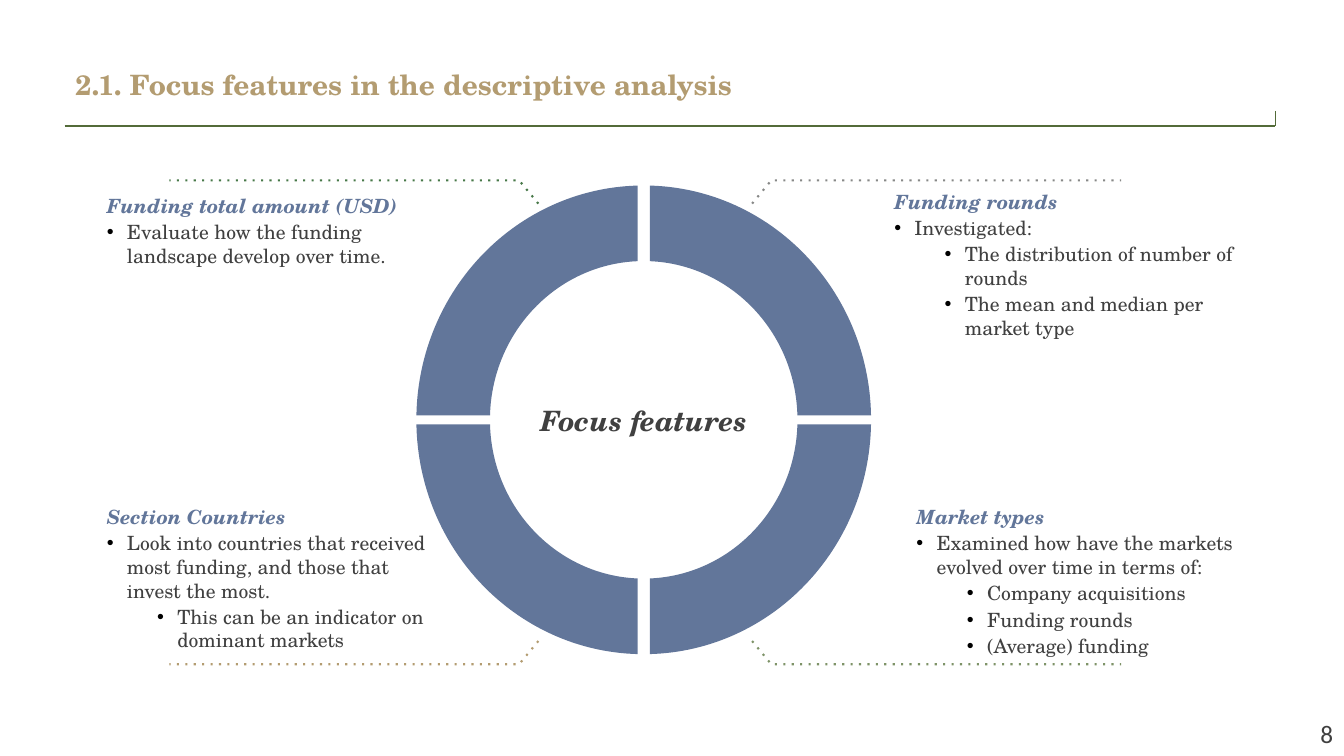
import math
from lxml import etree
from pptx import Presentation
from pptx import util as u
from pptx.dml.color import RGBColor
from pptx.enum import shapes, text
from pptx.oxml.ns import qn

COLORS = {
    "title": "B39C71", "rule": "536B39", "ring": "62769A", "body": "404040",
    "bullet": "000000", "number": "3F3F3F",
    "green": "477848", "gray": "878887", "sand": "B39C71", "olive": "7E9368",
}
SERIF = "TeX Gyre Schola"
RING_BOX = (4.13, 1.84, 4.51, 4.65)
LEADER_BOX = (1.68, 1.79, 9.44, 4.8)
CALLOUTS = [
    ((8.87, 1.88, 3.42, 1.29), (1, -1), "gray", "Funding rounds", [
        (0, "Investigated:"),
        (1, "The distribution of number of rounds"),
        (1, "The mean and median per market type")]),
    ((1.06, 1.92, 3.2, 1.55), (-1, -1), "green", "Funding total amount (USD)", [
        (0, "Evaluate how the funding landscape develop over time.")]),
    ((1.06, 5.01, 3.2, 1.29), (-1, 1), "sand", "Section Countries", [
        (0, "Look into countries that received most funding, and those that invest the most."),
        (1, "This can be an indicator on dominant markets")]),
    ((9.09, 5.01, 3.2, 1.29), (1, 1), "olive", "Market types", [
        (0, "Examined how have the markets evolved over time in terms of:"),
        (1, "Company acquisitions"),
        (1, "Funding rounds"),
        (1, "(Average) funding")]),
]


def color(name):
    return RGBColor.from_string(COLORS[name])


def add_frame(slide, box, margins=(0.1, 0.05)):
    frame = slide.shapes.add_textbox(*map(u.Inches, box)).text_frame
    frame.word_wrap = True
    frame.margin_left = frame.margin_right = u.Inches(margins[0])
    frame.margin_top = frame.margin_bottom = u.Inches(margins[1])
    return frame


def write(paragraph, words, size, tint, bold=False, italic=False, face=SERIF):
    paragraph.text = words
    font = paragraph.font
    font.name, font.size = face, u.Pt(size)
    font.bold, font.italic = bold, italic
    font.color.rgb = color(tint)


def add_bullet(paragraph, level):
    paragraph.level = level
    paragraph.space_before = u.Pt(2)
    properties = paragraph._p.get_or_add_pPr()
    properties.set("marL", str(u.Inches(0.2 + 0.5 * level)))
    properties.set("indent", str(u.Inches(-0.2)))
    tint = etree.SubElement(properties, qn("a:buClr"))
    etree.SubElement(tint, qn("a:srgbClr"), val=COLORS["bullet"])
    etree.SubElement(properties, qn("a:buFont"), typeface="Arial")
    etree.SubElement(properties, qn("a:buChar"), char="•")


def add_outline(parent, points, close):
    points = [(u.Inches(x), u.Inches(y)) for x, y in points]
    builder = parent.shapes.build_freeform(*points[0])
    builder.add_line_segments(points[1:], close=close)
    shape = builder.convert_to_shape()
    shape.shadow.inherit = False
    return shape


def add_header(slide, box):
    left, top, width, height = box
    right, bottom = left + width - 0.04, top + height + 0.01
    for start in ((left - 0.01, bottom), (right, bottom - 0.15)):
        rule = slide.shapes.add_connector(
            shapes.MSO_CONNECTOR.STRAIGHT, *map(u.Inches, (*start, right, bottom)))
        rule.line.color.rgb = color("rule")
        rule.line.width = u.Pt(1)
        etree.SubElement(rule._element.spPr, qn("a:effectLst"))
    frame = add_frame(slide, box)
    frame.vertical_anchor = text.MSO_ANCHOR.MIDDLE
    paragraph = frame.paragraphs[0]
    paragraph.line_spacing = 0.9
    write(paragraph, "2.1. Focus features in the descriptive analysis", 20, "title", bold=True)


def arc(center, radii, gaps, signs):
    first = math.asin(gaps[1] / radii[1])
    last = math.acos(gaps[0] / radii[0])
    reach = 4 / 3 * math.tan((last - first) / 4)
    points = []
    for angle, pull in ((first, 0), (first, reach), (last, -reach), (last, 0)):
        across = math.cos(angle) - pull * math.sin(angle)
        down = math.sin(angle) + pull * math.cos(angle)
        points.append((center[0] + signs[0] * radii[0] * across,
                       center[1] + signs[1] * radii[1] * down))
    return points


def bend(shape, segment, controls):
    curve = etree.Element(qn("a:cubicBezTo"))
    for x, y in controls:
        etree.SubElement(curve, qn("a:pt"), x=str(u.Inches(x) - shape.left),
                         y=str(u.Inches(y) - shape.top))
    curve.append(segment[0])
    segment.getparent().replace(segment, curve)


def add_ring(slide, box):
    left, top, width, height = box
    center = (left + width / 2, top + height / 2)
    outer = (width / 2, height / 2)
    inner = (outer[0] - 0.73, outer[1] - 0.75)
    gaps = (0.06, 0.045)
    group = slide.shapes.add_group_shape()
    for signs in ((-1, 1), (-1, -1), (1, -1), (1, 1)):
        outside = arc(center, outer, gaps, signs)
        inside = arc(center, inner, gaps, signs)[::-1]
        quadrant = add_outline(group, outside[::3] + inside[::3], True)
        segments = list(quadrant._element.iter(qn("a:lnTo")))
        bend(quadrant, segments[0], outside[1:3])
        bend(quadrant, segments[2], inside[1:3])
        quadrant.fill.solid()
        quadrant.fill.fore_color.rgb = color("ring")
        quadrant.line.fill.background()


def add_center_label(slide, box):
    paragraph = add_frame(slide, box).paragraphs[0]
    paragraph.alignment = text.PP_ALIGN.CENTER
    write(paragraph, "Focus features", 20, "body", bold=True, italic=True)


def add_leader(slide, box, side, tint):
    left, top, width, height = box
    edge = left if side[0] < 0 else left + width
    level = top if side[1] < 0 else top + height
    points = [(edge - side[0] * 3.66, level - side[1] * 0.23),
              (edge - side[0] * 3.47, level), (edge, level)]
    leader = add_outline(slide, points, False)
    leader.fill.background()
    leader.line.color.rgb = color(tint)
    leader.line.width = u.Pt(1.5)
    etree.SubElement(leader.line._get_or_add_ln(), qn("a:prstDash"), val="dot")


def add_callout(slide, box, heading, items):
    frame = add_frame(slide, box, (0, 0))
    write(frame.paragraphs[0], heading, 14, "ring", bold=True, italic=True)
    for level, words in items:
        paragraph = frame.add_paragraph()
        add_bullet(paragraph, level)
        write(paragraph, words, 14, "body")


def add_page_number(slide, box):
    paragraph = add_frame(slide, box).paragraphs[0]
    paragraph.alignment = text.PP_ALIGN.RIGHT
    write(paragraph, "8", 18, "number", face="Calibri")


def main():
    presentation = Presentation()
    presentation.slide_width = u.Inches(13.33)
    presentation.slide_height = u.Inches(7.5)
    slide = presentation.slides.add_slide(presentation.slide_layouts[6])
    add_header(slide, (0.65, 0.48, 12.04, 0.76))
    add_ring(slide, RING_BOX)
    for box, side, tint, heading, items in CALLOUTS:
        add_leader(slide, LEADER_BOX, side, tint)
        add_callout(slide, box, heading, items)
    add_center_label(slide, (4.96, 3.95, 2.85, 0.44))
    add_page_number(slide, (10.32, 7.08, 3, 0.4))
    presentation.save("out.pptx")


if __name__ == "__main__":
    main()
